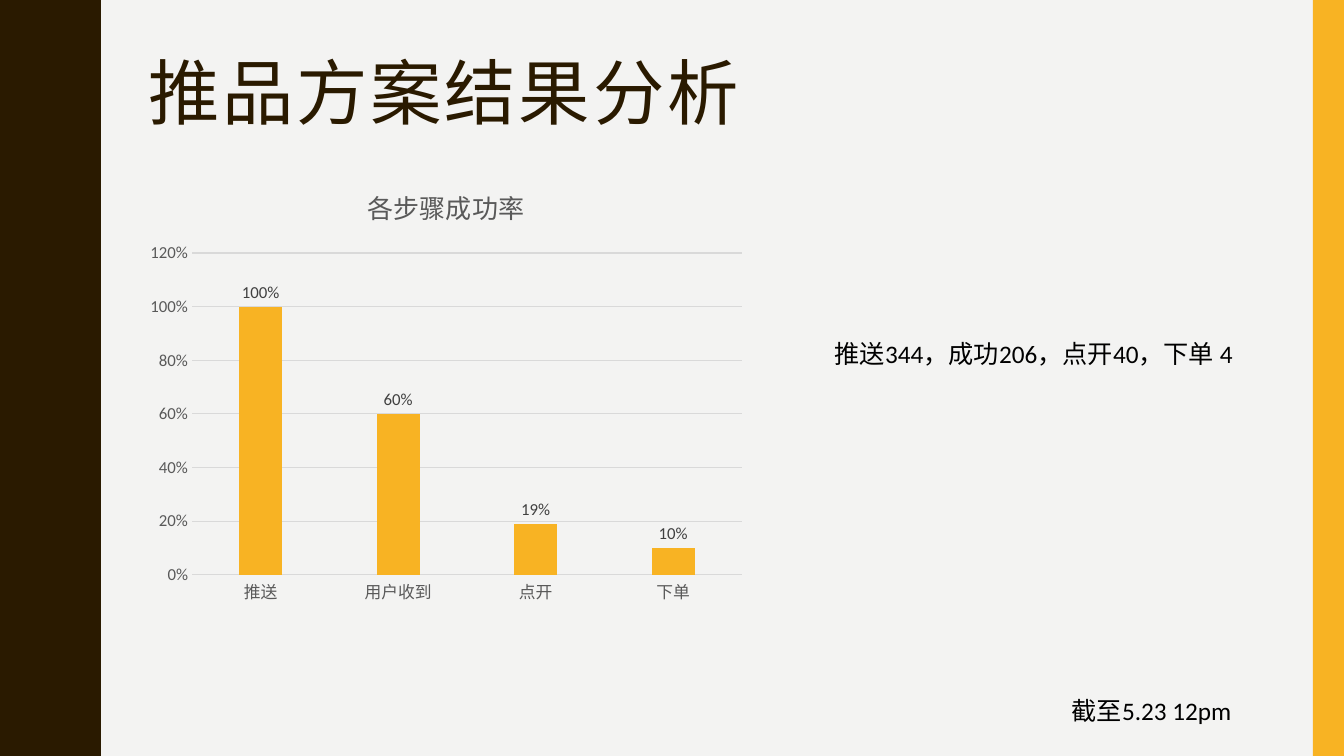
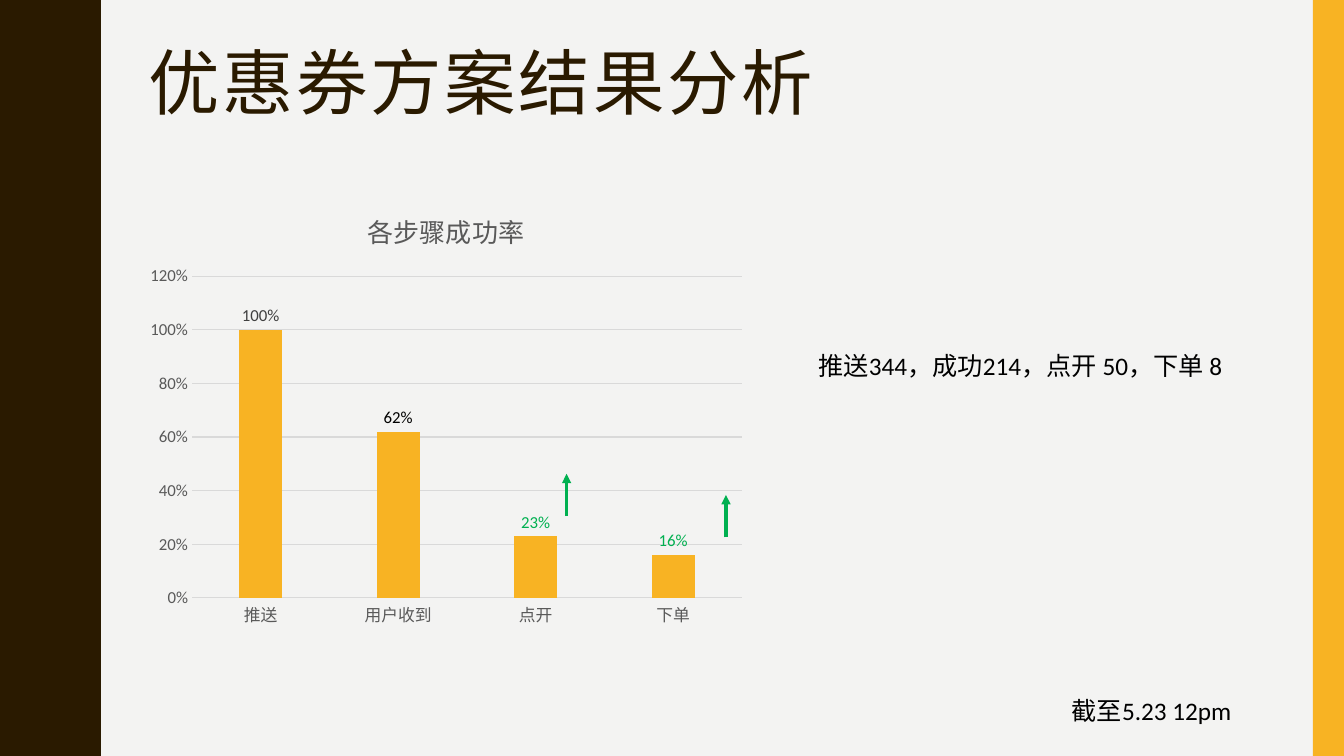
from lxml import etree
from pptx import Presentation
from pptx import util as u
from pptx.chart import data as chart_data
from pptx.dml.color import RGBColor
from pptx.enum import chart as charts, shapes, text
from pptx.oxml import ns

# Style shared by the slides
BACKGROUND, BROWN, YELLOW = "F3F3F2", "2A1A00", "F8B323"
GREY, GRID, LABEL, BLACK, GREEN = "595959", "D9D9D9", "404040", "000000", "00B050"
TITLE_FONT, BODY_FONT = "Arial Narrow", "Calibri"
WIDTH, HEIGHT = 13.33, 7.5
LEFT = 1.37
WAVE_PERIOD = 1.5
# First half of one wave as (x, y); the second half mirrors it
HALF_WAVE = [(0.78, 0), (0.78, 0.07), (0.79, 0.14), (0.8, 0.2), (0.81, 0.25),
             (0.83, 0.29), (0.85, 0.33), (0.87, 0.38), (0.89, 0.42), (0.91, 0.46),
             (0.93, 0.5), (0.95, 0.55), (0.96, 0.61), (0.97, 0.68), (0.97, 0.75)]
STEPS = ["推送", "用户收到", "点开", "下单"]


def rgb(value):
    return RGBColor.from_string(value)


def set_font(font, size, color, name=BODY_FONT):
    font.size = u.Pt(size)
    font.name = name
    font.bold = False
    font.color.rgb = rgb(color)


def set_line(line, color, width):
    line.color.rgb = rgb(color)
    line.width = u.Pt(width)


class Deck:
    def __init__(self):
        self.presentation = Presentation()
        self.presentation.slide_width = u.Inches(WIDTH)
        self.presentation.slide_height = u.Inches(HEIGHT)
        self.layout = self.presentation.slide_layouts[5]
        fill = self.layout.background.fill
        fill.solid()
        fill.fore_color.rgb = rgb(BACKGROUND)
        self.slide = None

    def add_slide(self, title, top):
        first = self.slide is None
        self.slide = self.presentation.slides.add_slide(self.layout)
        if first:
            self.add_bands()
        self.add_title(title, top)

    def add_bands(self):
        """Draw the side bands and place them on the layout, behind the rest."""
        wave = HALF_WAVE + [(x, WAVE_PERIOD - y) for x, y in HALF_WAVE[-2::-1]]
        edge = [(x, y + WAVE_PERIOD * i)
                for i in range(round(HEIGHT / WAVE_PERIOD)) for x, y in wave]
        builder = self.slide.shapes.build_freeform(0, 0, scale=u.Inches(1))
        builder.add_line_segments(edge + [(0, HEIGHT)], close=True)
        stripe = self.slide.shapes.add_shape(
            shapes.MSO_SHAPE.RECTANGLE, u.Inches(13.02), 0, u.Inches(0.31), u.Inches(HEIGHT))
        for band, color in ((stripe, YELLOW), (builder.convert_to_shape(), BROWN)):
            band.shadow.inherit = False
            band.fill.solid()
            band.fill.fore_color.rgb = rgb(color)
            band.line.fill.background()
            self.layout.shapes.element.insert(2, band.element)

    def add_title(self, words, top):
        title = self.slide.shapes.title
        title.left, title.top = u.Inches(LEFT), u.Inches(top)
        title.width, title.height = u.Inches(11.13), u.Inches(1.63)
        frame = title.text_frame
        frame.text = words
        frame.vertical_anchor = text.MSO_ANCHOR.TOP
        frame.auto_size = text.MSO_AUTO_SIZE.NONE
        paragraph = frame.paragraphs[0]
        paragraph.alignment = text.PP_ALIGN.LEFT
        paragraph.line_spacing = 0.9
        set_font(paragraph.font, 51, BROWN, TITLE_FONT)
        paragraph.runs[0].font._element.set("spc", "200")

    def add_text(self, words, left, top, width):
        box = self.slide.shapes.add_textbox(
            u.Inches(left), u.Inches(top), u.Inches(width), u.Inches(0.4))
        frame = box.text_frame
        frame.word_wrap = True
        frame.auto_size = text.MSO_AUTO_SIZE.SHAPE_TO_FIT_TEXT
        frame.text = words
        set_font(frame.paragraphs[0].font, 18, BLACK)

    def add_rate_chart(self, rates, top, label_colors):
        data = chart_data.CategoryChartData(number_format="0%")
        data.categories = STEPS
        data.add_series("Series 1", rates)
        chart = self.slide.shapes.add_chart(
            charts.XL_CHART_TYPE.COLUMN_CLUSTERED, u.Inches(LEFT), u.Inches(top),
            u.Inches(6.11), u.Inches(4.43), data).chart
        set_font(chart.font, 10, BLACK)
        chart.has_legend = False
        chart.has_title = True
        frame = chart.chart_title.text_frame
        frame.text = "各步骤成功率"
        set_font(frame.paragraphs[0].font, 18.6, GREY)

        # Axes
        for axis in (chart.category_axis, chart.value_axis):
            axis.major_tick_mark = axis.minor_tick_mark = charts.XL_TICK_MARK.NONE
            set_font(axis.tick_labels.font, 12, GREY)
        set_line(chart.category_axis.format.line, GRID, 0.75)
        values = chart.value_axis
        values.minimum_scale, values.maximum_scale, values.major_unit = 0, 1.2, 0.2
        values.format.line.fill.background()
        set_line(values.major_gridlines.format.line, GRID, 0.75)
        values.tick_labels.number_format = "0%"
        values.tick_labels.number_format_is_linked = False

        # Columns and their labels
        plot = chart.plots[0]
        plot.vary_by_categories = False
        plot.gap_width, plot.overlap = 219, -27
        series = plot.series[0]
        series.format.fill.solid()
        series.format.fill.fore_color.rgb = rgb(YELLOW)
        labels = series.data_labels
        labels.show_value = True
        labels.number_format = "0%"
        labels.number_format_is_linked = False
        labels.position = charts.XL_LABEL_POSITION.OUTSIDE_END
        set_font(labels.font, 12, LABEL)
        for index, color in label_colors.items():
            label = series.points[index].data_label
            set_font(label.font, 12, color)
            label.position = charts.XL_LABEL_POSITION.OUTSIDE_END

    def add_up_arrow(self, x, bottom):
        arrow = self.slide.shapes.add_connector(
            shapes.MSO_CONNECTOR.STRAIGHT, u.Inches(x), u.Inches(bottom),
            u.Inches(x), u.Inches(bottom - 0.42))
        set_line(arrow.line, GREEN, 2.25)
        properties = arrow.element.spPr
        etree.SubElement(properties.find(ns.qn("a:ln")), ns.qn("a:tailEnd"), type="triangle")
        etree.SubElement(properties, ns.qn("a:effectLst"))

    def add_result(self, title, title_top, counts, counts_at, rates, chart_top, label_colors):
        self.add_slide(title, title_top)
        self.add_text(counts, *counts_at, 10.19)
        self.add_text("截至5.23 12pm", 10.53, 6.85, 3.42)
        self.add_rate_chart(rates, chart_top, label_colors)


deck = Deck()

# Product push results
deck.add_result("推品方案结果分析", 0.52, "推送344，成功206，点开40，下单 4", (8.18, 3.31),
                (1, 0.6, 0.19, 0.1), 1.65, {})

# Coupon results, with the improved steps in green
deck.add_result("优惠券方案结果分析", 0.42, "推送344，成功214，点开 50，下单 8", (8.02, 3.43),
                (1, 0.62, 0.23, 0.16), 1.88, {1: BLACK, 2: GREEN, 3: GREEN})
for x, bottom in ((5.62, 5.12), (7.2, 5.33)):
    deck.add_up_arrow(x, bottom)

deck.presentation.save("out.pptx")
